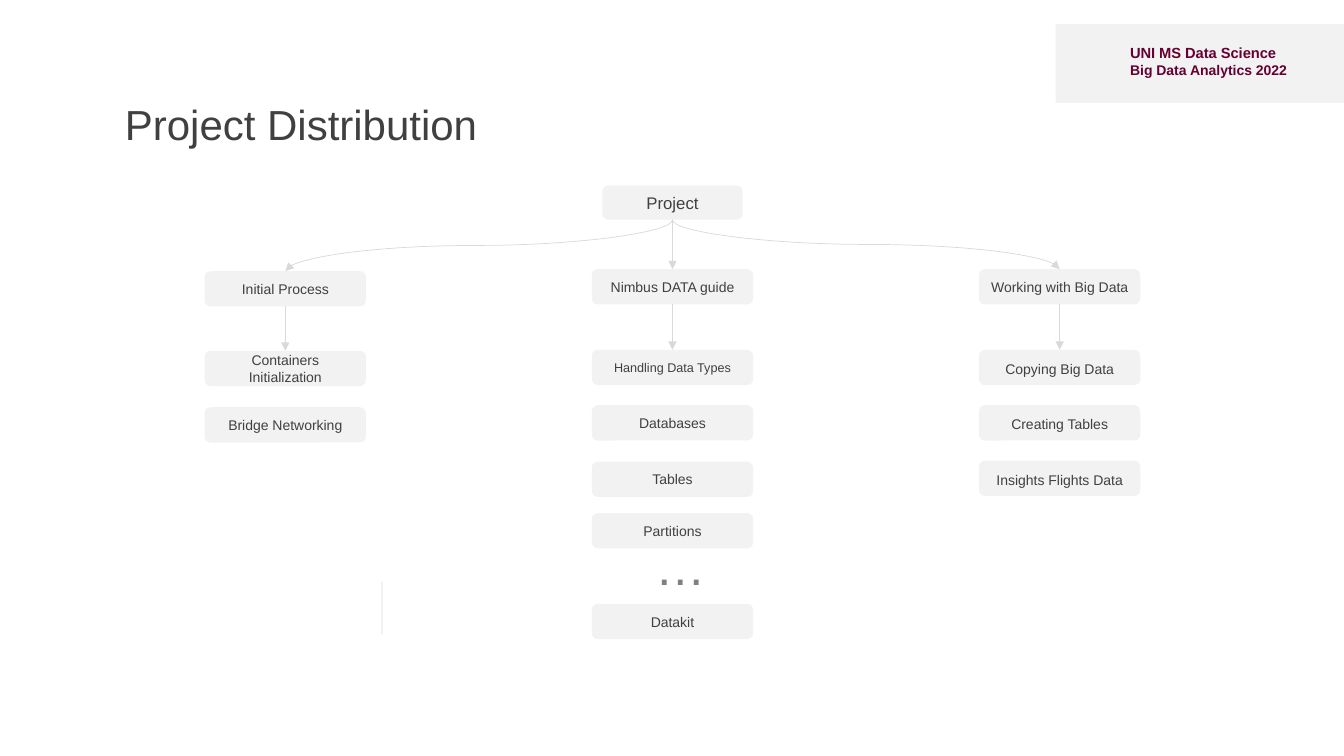
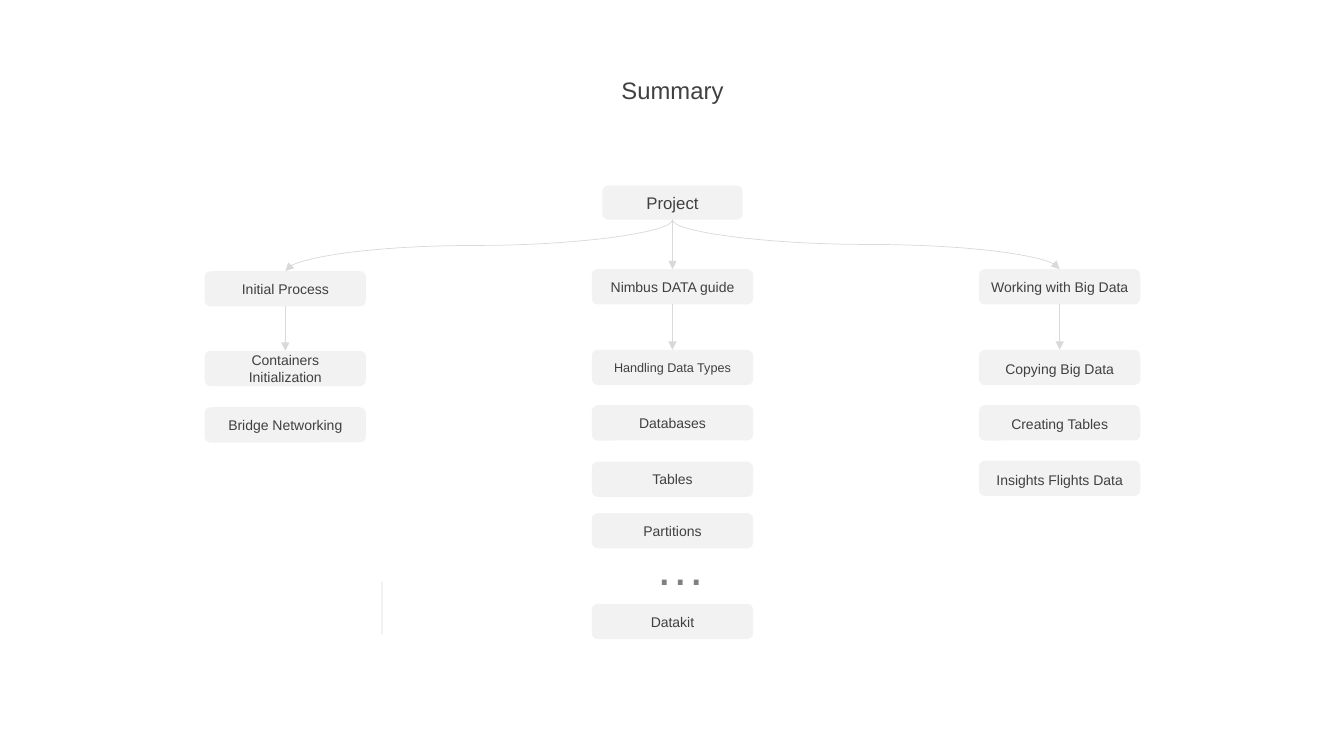
import pptx
import pptx.util
import pptx.dml.color
import pptx.enum.shapes
import pptx.enum.text
import pptx.oxml
import pptx.oxml.ns

Inches, Pt = pptx.util.Inches, pptx.util.Pt
SHAPE = pptx.enum.shapes.MSO_SHAPE
CONNECTOR = pptx.enum.shapes.MSO_CONNECTOR
ALIGN = pptx.enum.text.PP_ALIGN
ANCHOR = pptx.enum.text.MSO_ANCHOR

# Shared style
FONT = "Arial"
INK, PALE, LINE, DOTS, MAROON = "404040", "F2F2F2", "D9D9D9", "808080", "660033"
CENTER_X, COLUMN_GAP = 6.67, 3.84
BOX_W, BOX_H = 1.6, 0.35
TOP, BOTTOM = 0, 2

# Content: heading and its top, line spacing, then (text, top, size) per box
COLUMNS = [
    ("Initial Process", 2.69, 1, [
        ("Containers Initialization", 3.48, 10),
        ("Bridge Networking", 4.04, 10),
    ]),
    ("Nimbus DATA guide", 2.67, 1, [
        ("Handling Data Types", 3.47, 9),
        ("Databases", 4.02, 10),
        ("Tables", 4.58, 10),
        ("Partitions", 5.09, 10),
        ("Datakit", 5.99, 10),
    ]),
    ("Working with Big Data", 2.67, 1.15, [
        ("Copying Big Data", 3.47, 10),
        ("Creating Tables", 4.02, 10),
        ("Insights Flights Data", 4.57, 10),
    ]),
]
BANNER = [("UNI MS Data Science", 10.5), ("Big Data Analytics 2022", 10)]


def rgb(color):
    return pptx.dml.color.RGBColor.from_string(color)


def write(sp, text, size=10, color=INK, bold=False, align=ALIGN.CENTER,
          spacing=None, anchor=ANCHOR.MIDDLE):
    """Fill a shape with text; a list gives (line, size) paragraphs."""
    tf = sp.text_frame
    tf.word_wrap = True
    tf.vertical_anchor = anchor
    lines = text if isinstance(text, list) else [(text, size)]
    for i, (line, line_size) in enumerate(lines):
        p = tf.add_paragraph() if i else tf.paragraphs[0]
        p.alignment = align
        if spacing:
            p.line_spacing = spacing
        r = p.add_run()
        r.text = line
        r.font.name, r.font.size, r.font.bold = FONT, Pt(line_size), bold
        r.font.color.rgb = rgb(color)


def add_text(s, x, y, w, h, text, **style):
    sp = s.shapes.add_textbox(Inches(x), Inches(y), Inches(w), Inches(h))
    write(sp, text, **style)


def add_panel(s, kind, x, y, w, h):
    sp = s.shapes.add_shape(kind, Inches(x), Inches(y), Inches(w), Inches(h))
    sp.shadow.inherit = False
    sp.fill.solid()
    sp.fill.fore_color.rgb = rgb(PALE)
    sp.line.fill.background()
    return sp


def add_box(s, center, y, text, w=BOX_W, h=BOX_H, **style):
    sp = add_panel(s, SHAPE.ROUNDED_RECTANGLE, center - w / 2, y, w, h)
    write(sp, text, **style)
    return sp


def style_line(cx, color, width, arrow=False):
    cx.line.color.rgb = rgb(color)
    cx.line.width = Pt(width)
    if arrow:
        ln = cx.line._get_or_add_ln()
        ln.append(pptx.oxml.parse_xml(
            '<a:tailEnd %s type="triangle"/>' % pptx.oxml.ns.nsdecls("a")))
    cx._element.spPr.append(pptx.oxml.parse_xml(
        "<a:effectLst %s/>" % pptx.oxml.ns.nsdecls("a")))


def add_arrow(s, upper, lower, curved=False):
    """Join the bottom of one box to the top of another."""
    kind = CONNECTOR.CURVE if curved else CONNECTOR.STRAIGHT
    cx = s.shapes.add_connector(kind, 0, 0, 0, 0)
    cx.begin_connect(upper, BOTTOM)
    cx.end_connect(lower, TOP)
    if curved:
        turn_vertical(cx)
    style_line(cx, LINE, 0.5, arrow=True)


def turn_vertical(cx):
    """Rotate a curve so that it leaves and arrives vertically."""
    x1, y1, x2, y2 = cx.begin_x, cx.begin_y, cx.end_x, cx.end_y
    w, h = y2 - y1, abs(x2 - x1)
    xfrm = cx._element.spPr.xfrm
    xfrm.flipH, xfrm.flipV = x2 > x1, False
    xfrm.set("rot", str((270 if x2 > x1 else 90) * 60000))
    cx.left, cx.top = (x1 + x2 - w) // 2, (y1 + y2 - h) // 2
    cx.width, cx.height = w, h


def add_tree(s):
    root = add_box(s, CENTER_X, 1.84, "Project", w=1.39, h=0.34, size=12)
    for i, (heading, top, spacing, items) in enumerate(COLUMNS):
        center = CENTER_X + (i - 1) * COLUMN_GAP
        head = add_box(s, center, top, heading)
        boxes = [add_box(s, center, y, text, size=size, spacing=spacing)
                 for text, y, size in items]
        add_arrow(s, root, head, curved=i != 1)
        add_arrow(s, head, boxes[0])
    add_text(s, 6.4, 5.26, 0.52, 0.71, "…", size=36, color=DOTS,
             anchor=ANCHOR.TOP)
    # Faint divider
    cx = s.shapes.add_connector(CONNECTOR.STRAIGHT, Inches(3.79), Inches(5.77),
                                Inches(3.79), Inches(6.29))
    style_line(cx, PALE, 1)


def add_title(s, x, y, w, h, text, size, align):
    add_text(s, x, y, w, h, text, size=size, align=align, spacing=0.8,
             anchor=ANCHOR.TOP)


def main():
    prs = pptx.Presentation()
    prs.slide_width, prs.slide_height = Inches(13.33), Inches(7.5)
    distribution, summary = [
        prs.slides.add_slide(prs.slide_layouts[6]) for _ in range(2)]

    # Project distribution
    add_panel(distribution, SHAPE.RECTANGLE, 10.47, 0.24, 2.86, 0.78)
    add_text(distribution, 11.11, 0.38, 2.08, 0.45, BANNER, color=MAROON,
             bold=True, align=ALIGN.LEFT)
    add_title(distribution, 1.14, 1.02, 4.62, 0.51, "Project Distribution",
              30, ALIGN.LEFT)
    add_tree(distribution)

    # Summary
    add_tree(summary)
    add_title(summary, 6.03, 0.76, 1.28, 0.33, "Summary", 17, ALIGN.CENTER)

    prs.save("out.pptx")


if __name__ == "__main__":
    main()
